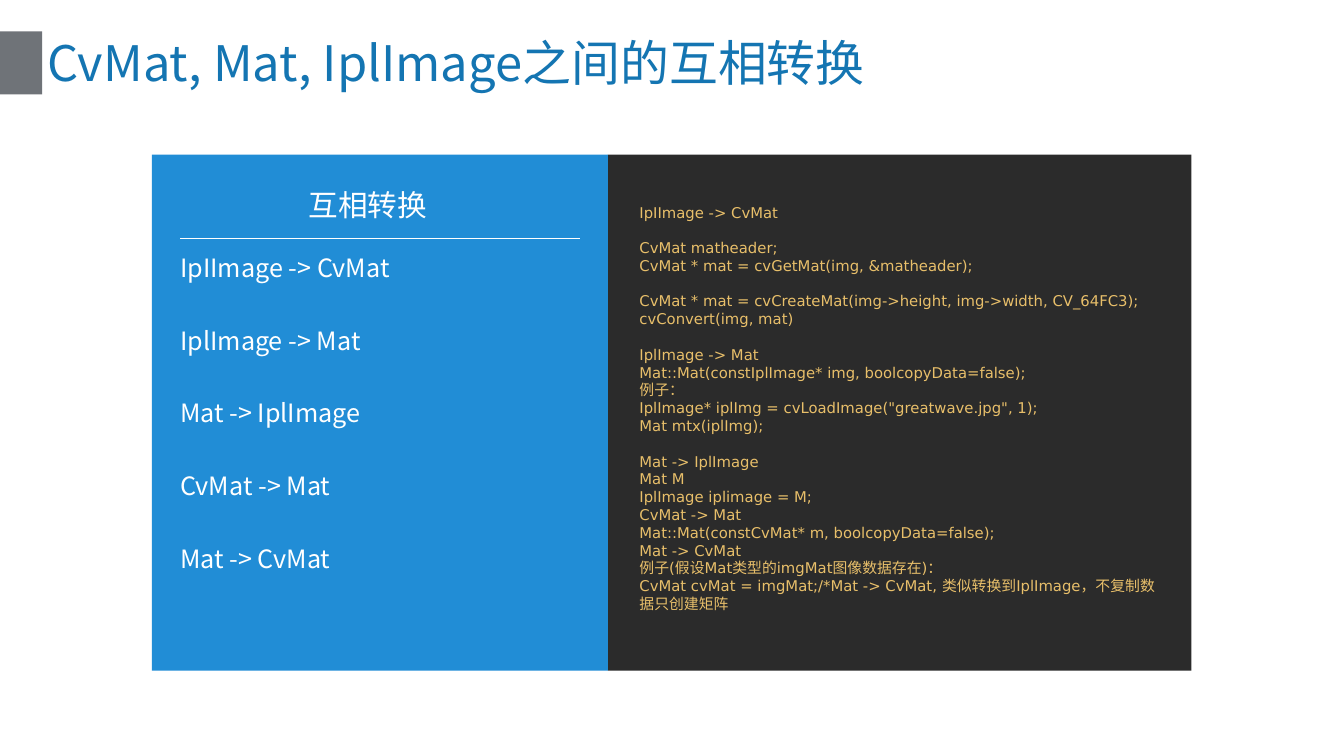
from lxml import etree
from pptx import Presentation
from pptx.dml.color import RGBColor
from pptx.enum import shapes, text
from pptx.oxml.ns import qn
from pptx.util import Inches, Pt

SANS, CODE = "Noto Sans CJK SC", "DejaVu Sans"
ALIGN, ANCHOR = text.PP_ALIGN, text.MSO_ANCHOR

deck = Presentation()
deck.slide_width, deck.slide_height = Inches(25.2), Inches(14.17)
page = deck.slides.add_slide(deck.slide_layouts[6])


def color(value):
    return RGBColor.from_string(value)


def add_text(place, groups, size, font, ink, align=ALIGN.LEFT,
             anchor=ANCHOR.MIDDLE, inset=0.07, pitch=None):
    """Write groups of lines, one empty line pitch apart."""
    box = page.shapes.add_textbox(*map(Inches, place))
    frame = box.text_frame
    settings = {"word_wrap": True, "vertical_anchor": anchor}
    for side in ("left", "top", "right", "bottom"):
        settings[f"margin_{side}"] = Inches(inset)
    for name, value in settings.items():
        setattr(frame, name, value)
    para = frame.paragraphs[0]
    for group_index, lines in enumerate(groups):
        for line_index, line in enumerate(lines):
            if group_index or line_index:
                para = frame.add_paragraph()
            para.alignment = align
            if pitch:
                para.line_spacing = Pt(pitch)
                para.space_before = Pt(pitch if group_index and not line_index else 0)
            span = para.add_run()
            span.text = line
            span.font.size, span.font.name = Pt(size), font
            span.font.color.rgb = color(ink)
            east_asian = etree.SubElement(span.font._element, qn("a:ea"))
            east_asian.set("typeface", SANS)


panels = [
    ((0, 0.59, 0.79, 1.18), "6F7378"),
    ((11.4, 2.9, 10.94, 9.67), "2B2B2B"),
    ((2.85, 2.9, 8.55, 9.67), "218DD6"),
]
for place, fill in panels:
    panel = page.shapes.add_shape(shapes.MSO_SHAPE.RECTANGLE, *map(Inches, place))
    panel.shadow.inherit = False
    panel.fill.solid()
    panel.fill.fore_color.rgb = color(fill)
    panel.line.fill.background()

rule = page.shapes.add_connector(
    shapes.MSO_CONNECTOR.STRAIGHT, *map(Inches, (3.38, 4.46, 10.87, 4.46)))
rule.line.color.rgb = color("FFFFFF")
rule.line.width = Pt(1)
etree.SubElement(rule._element.spPr, qn("a:effectLst"))

conversions = ["IpIImage -> CvMat", "IplImage -> Mat", "Mat -> IplImage",
               "CvMat -> Mat", "Mat -> CvMat"]
code = [
    ["IpIImage -> CvMat"],
    ["CvMat matheader;",
     "CvMat * mat = cvGetMat(img, &matheader);"],
    ["CvMat * mat = cvCreateMat(img->height, img->width, CV_64FC3);",
     "cvConvert(img, mat)"],
    ["IplImage -> Mat",
     "Mat::Mat(constIplImage* img, boolcopyData=false);",
     "例子：",
     'IplImage* iplImg = cvLoadImage("greatwave.jpg", 1);',
     "Mat mtx(iplImg);"],
    ["Mat -> IplImage",
     "Mat M",
     "IplImage iplimage = M;",
     "CvMat -> Mat",
     "Mat::Mat(constCvMat* m, boolcopyData=false);",
     "Mat -> CvMat",
     "例子(假设Mat类型的imgMat图像数据存在)：",
     "CvMat cvMat = imgMat;/*Mat -> CvMat, 类似转换到IplImage，不复制数据只创建矩阵"],
]

add_text((0.79, 0.57, 23.62, 1.2), [["CvMat, Mat, IplImage之间的互相转换"]],
         66, SANS, "1475B2", inset=0.1)
add_text((3.31, 3.43, 7.17, 0.82), [["互相转换"]],
         40, SANS, "FFFFFF", align=ALIGN.CENTER)
add_text((3.31, 4.54, 7.56, 6.28), [[name] for name in conversions],
         34, SANS, "FFFFFF", align=ALIGN.JUSTIFY, pitch=49)
add_text((11.94, 3.76, 10.03, 7.84), code,
         20, CODE, "E8BF6A", anchor=ANCHOR.TOP, inset=0.05, pitch=24)

deck.save("out.pptx")
